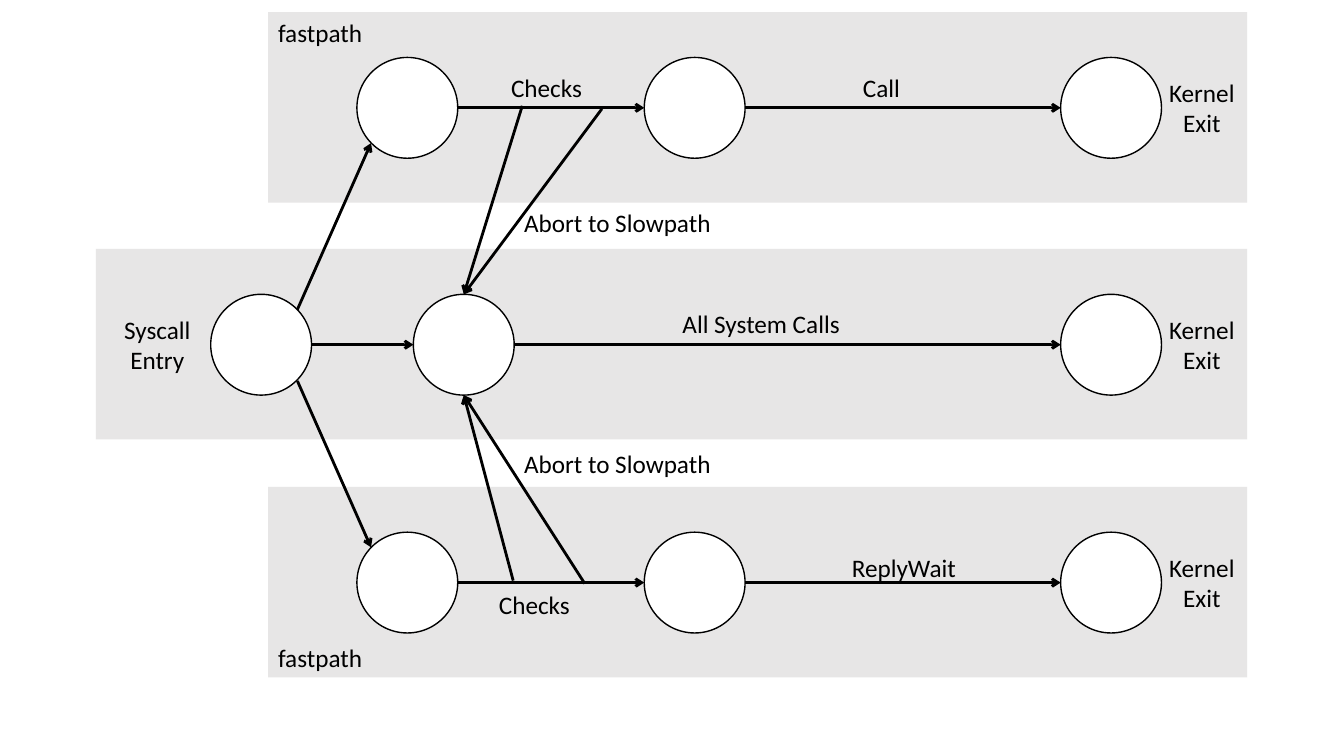
from pptx import Presentation
from pptx.dml.color import RGBColor
from pptx.enum.shapes import MSO_CONNECTOR, MSO_SHAPE
from pptx.enum.text import PP_ALIGN
from pptx.oxml.ns import qn
from pptx.util import Pt
from lxml.etree import SubElement

PX = 9144  # 100 px to the inch
COLORS = {"band": "E7E6E6", "node": "FFFFFF", "ink": "000000"}
INK = RGBColor.from_string(COLORS["ink"])

deck = Presentation()
deck.slide_width, deck.slide_height = 1333 * PX, 750 * PX
slide = deck.slides.add_slide(deck.slide_layouts[6])
shapes = slide.shapes


def draw(kind, x, y, w, h, color):
    shape = shapes.add_shape(kind, x * PX, y * PX, w * PX, h * PX)
    shape.shadow.inherit = False
    shape.fill.solid()
    shape.fill.fore_color.rgb = RGBColor.from_string(COLORS[color])
    shape.line.fill.background()
    return shape


def write(x, y, w, lines, align):
    height = 40 if len(lines) == 1 else 71
    frame = shapes.add_textbox(x * PX, y * PX, w * PX, height * PX).text_frame
    frame.word_wrap = False
    for i, line in enumerate(lines):
        para = frame.add_paragraph() if i else frame.paragraphs[0]
        para.alignment = align
        run = para.add_run()
        run.text = line
        run.font.name = "Calibri"
        run.font.size = Pt(18)
        run.font.color.rgb = INK


# Bands: upper fastpath, slowpath, lower fastpath
TOP, MID, LOW = 107, 342, 578
RIGHT, SIZE = 1237, 100
R = SIZE // 2
for row, left in ((TOP, 266), (MID, 95), (LOW, 266)):
    draw(MSO_SHAPE.RECTANGLE, left, row - 95, RIGHT - left, 189, "band")

# State circles, by centre
ENTRY, SLOW, FAST, DONE, EXIT = 259, 460, 404, 689, 1102
rows = {TOP: (FAST, DONE, EXIT), MID: (ENTRY, SLOW, EXIT), LOW: (FAST, DONE, EXIT)}
for row, nodes in rows.items():
    for x in nodes:
        node = draw(MSO_SHAPE.OVAL, x - R, row - R, SIZE, SIZE, "node")
        node.line.color.rgb = INK
        node.line.width = Pt(1)

# Arrows along each row
arrows = []
for row, nodes in rows.items():
    for start, end in zip(nodes, nodes[1:]):
        arrows.append((start + R, row, end - R, row))

# Arrows from the entry to the fastpaths, and aborts to the slowpath
arrows += [
    (295, 307, 368, 142),
    (295, 378, 368, 543),
    (518, 105, SLOW, MID - R),
    (597, 108, SLOW, MID - R),
    (509, 576, SLOW, MID + R),
    (580, 579, SLOW, MID + R),
]
for x1, y1, x2, y2 in arrows:
    link = shapes.add_connector(
        MSO_CONNECTOR.STRAIGHT, x1 * PX, y1 * PX, x2 * PX, y2 * PX
    )
    link.line.color.rgb = INK
    link.line.width = Pt(2)
    SubElement(link.line._get_or_add_ln(), qn("a:tailEnd"), type="arrow")
    SubElement(link._element.spPr, qn("a:effectLst"))

# Entry and exit labels
write(80, MID - 35, 152, ("Syscall", "Entry"), PP_ALIGN.CENTER)
for row in rows:
    write(1116, row - 35, 152, ("Kernel", "Exit"), PP_ALIGN.CENTER)

# Path and step labels
labels = [
    (266, 12, 110, "fastpath"),
    (266, 632, 110, "fastpath"),
    (497, 67, 95, "Checks"),
    (485, 580, 95, "Checks"),
    (846, 67, 64, "Call"),
    (835, 543, 135, "ReplyWait"),
    (667, 301, 179, "All System Calls"),
    (510, 201, 213, "Abort to Slowpath"),
    (510, 440, 213, "Abort to Slowpath"),
]
for x, y, w, label in labels:
    write(x, y, w, (label,), PP_ALIGN.LEFT)

deck.save("out.pptx")
